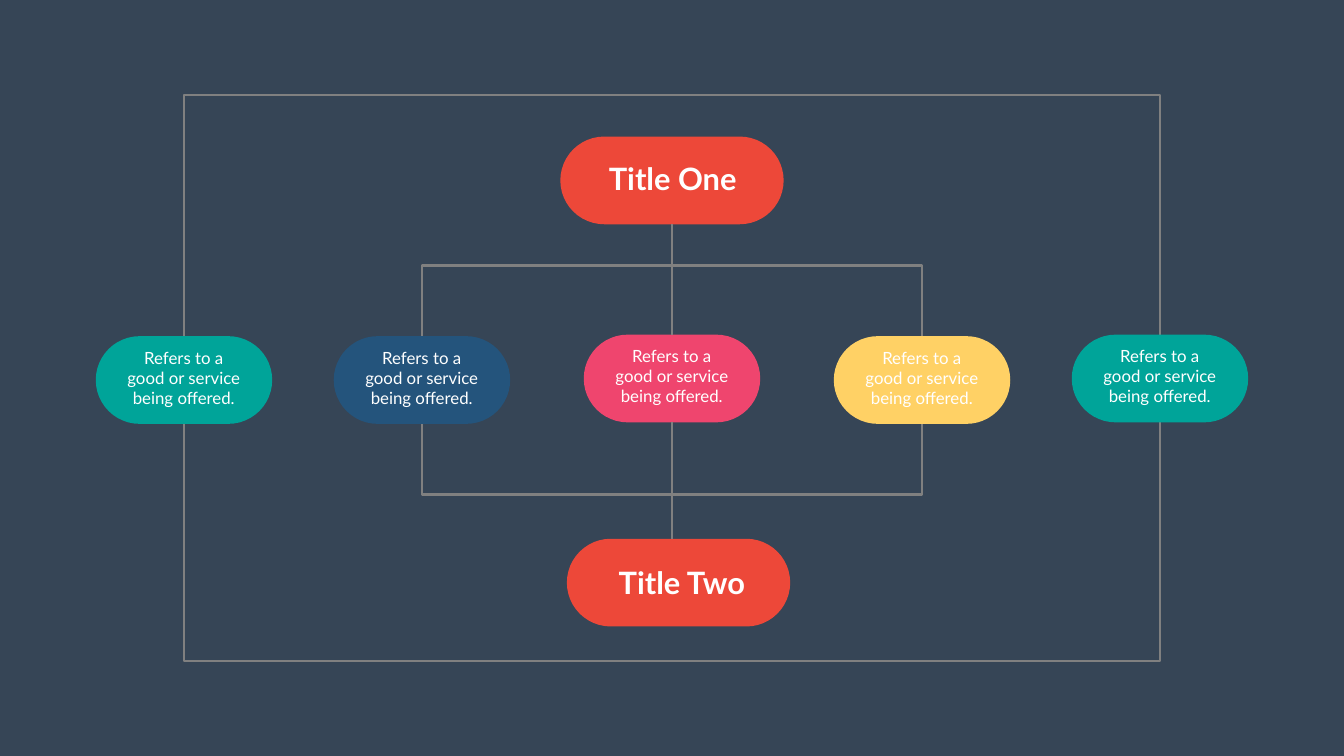
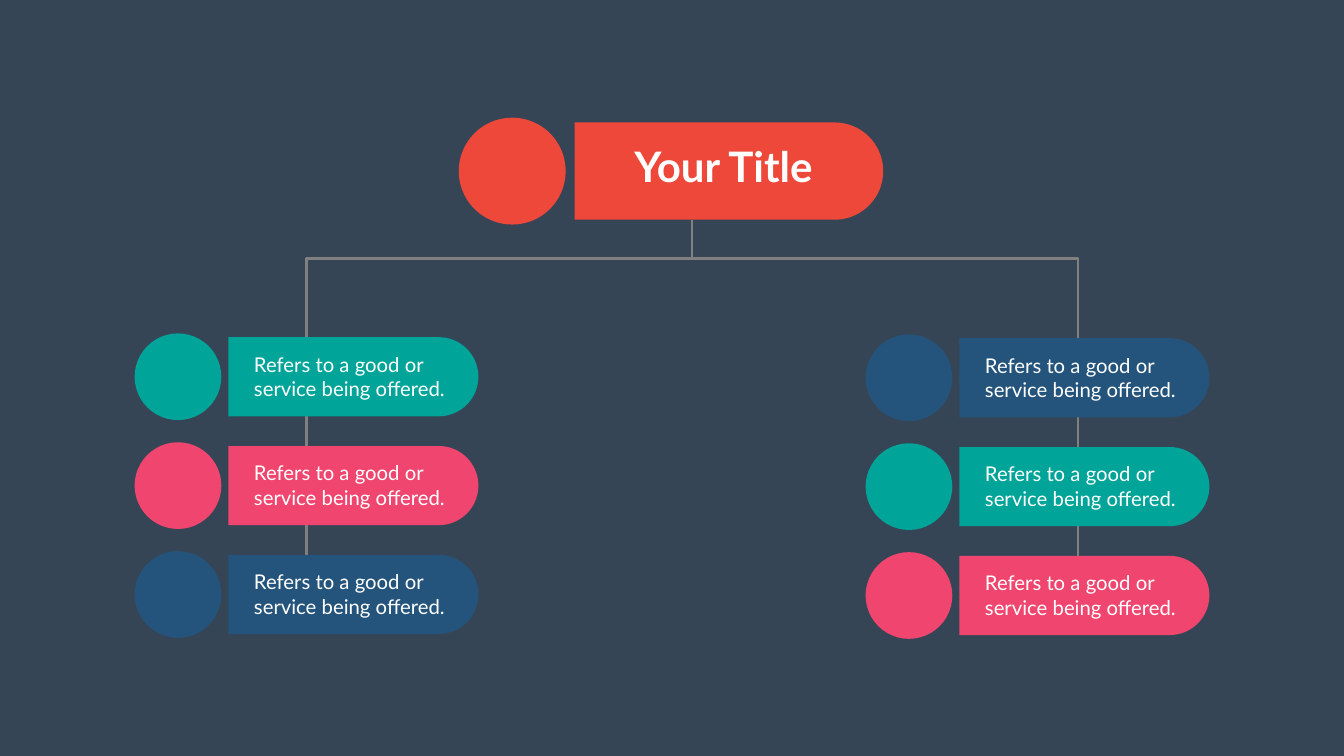
"""Build two organisation charts on a dark ground, with titles linked to rounded labels."""
from math import cos, pi, sin

from pptx import Presentation
from pptx.dml.color import RGBColor
from pptx.enum.shapes import MSO_CONNECTOR as Connector, MSO_SHAPE as Shape
from pptx.enum.text import MSO_ANCHOR as Anchor, MSO_AUTO_SIZE as AutoSize, PP_ALIGN as Align
from pptx.oxml.ns import qn
from pptx.util import Inches, Pt
from lxml.etree import SubElement

COLORS = {"ground": "364556", "line": "808080", "text": "FFFFFF", "red": "ED4839",
          "blue": "24547C", "teal": "00A499", "pink": "EF456E", "yellow": "FFD165"}
WIDTH, HEIGHT = 26.66, 15
MIDDLE = WIDTH / 2
STROKE = Pt(3.46)
OFFER = "Refers to a good or service being offered."


def paint(shape, color=None):
    """Fill a shape plainly, or leave it as a grey outline when no color is given."""
    shape.shadow.inherit = False
    if color:
        shape.fill.solid()
        shape.fill.fore_color.rgb = RGBColor.from_string(COLORS[color])
        shape.line.fill.background()
    else:
        shape.fill.background()
        shape.line.color.rgb = RGBColor.from_string(COLORS["line"])
        shape.line.width = STROKE


def write(box, place, text, size, bold=False, align=Align.CENTER):
    """Place a text box or title and format its one paragraph."""
    for name, value in zip(("left", "top", "width", "height"), place):
        setattr(box, name, Inches(value))
    frame = box.text_frame
    frame.text = text
    settings = {"word_wrap": not bold, "auto_size": AutoSize.SHAPE_TO_FIT_TEXT,
                "vertical_anchor": Anchor.TOP}
    for name, value in settings.items():
        setattr(frame, name, value)
    para = frame.paragraphs[0]
    para.alignment = align
    font = para.runs[0].font
    for name, value in {"name": "Lato", "size": Pt(size), "bold": bold}.items():
        setattr(font, name, value)
    font.color.rgb = RGBColor.from_string(COLORS["text"])


deck = Presentation()
deck.slide_width, deck.slide_height = Inches(WIDTH), Inches(HEIGHT)
ground = deck.slide_master.background.fill
ground.solid()
ground.fore_color.rgb = RGBColor.from_string(COLORS["ground"])
title_only = deck.slide_layouts[5]
network, tree = [deck.slides.add_slide(title_only) for _ in range(2)]

columns = [MIDDLE + offset for offset in (-9.68, -4.96, 0, 4.96, 9.68)]
branches = [(network, columns[1], columns[3], 9.81, 8.37),
            (network, columns[1], columns[3], 5.27, 6.71),
            (network, columns[0], columns[4], 1.89, 6.69),
            (network, columns[0], columns[4], 13.11, 8.31),
            (tree, 6.08, 21.38, 5.13, 12.39)]
for page, left, right, bar, end in branches:
    points = [(Inches(x), Inches(y)) for x, y in
              ((left, end), (left, bar), (right, bar), (right, end))]
    builder = page.shapes.build_freeform(*points[0])
    builder.add_line_segments(points[1:], close=False)
    paint(builder.convert_to_shape())

pill_height = 1.74
pills = []
for center, top, width, color in [(MIDDLE, 2.71, 4.43, "red"), (13.46, 10.69, 4.43, "red"),
                                  (columns[0], 6.67, 3.5, "teal"),
                                  (columns[1], 6.67, 3.5, "blue"),
                                  (columns[2], 6.64, 3.5, "pink"),
                                  (columns[3], 6.67, 3.5, "yellow"),
                                  (columns[4], 6.64, 3.5, "teal")]:
    pill = network.shapes.add_shape(Shape.ROUNDED_RECTANGLE, Inches(center - width / 2),
                                    Inches(top), Inches(width), Inches(pill_height))
    pill.adjustments[0] = 0.5
    paint(pill, color)
    pills.append(pill)
    if color != "red":
        box = network.shapes.add_textbox(0, 0, 0, 0)
        write(box, (center - 1.24, top + 0.17, 2.47, 1.31), OFFER, 24)

title_one, title_two, pink_pill = pills[0], pills[1], pills[4]
heading = network.shapes.title
write(heading, (11.96, 3.11, 2.77, 0.84), "Title One", 44, bold=True)
title_one.element.addnext(heading.element)
box = network.shapes.add_textbox(0, 0, 0, 0)
write(box, (12.12, 11.13, 2.81, 0.84), "Title Two", 44, bold=True)

labels = [(11.4, 2.43, 6.12, 1.93, 2.12, 0.18, "red")]
for left, first_top, order in [(4.53, 6.69, ("teal", "pink", "blue")),
                               (19.03, 6.71, ("blue", "teal", "pink"))]:
    for row, color in enumerate(order):
        labels.append((left, first_top + row * 2.16, 4.96, 1.57, 1.72, 0.14, color))

for left, top, width, height, circle_size, gap, color in labels:
    radius = height / 2
    center_x, center_y = left + width - radius, top + radius
    arc = [(center_x + radius * cos(step * pi / 36), center_y + radius * sin(step * pi / 36))
           for step in range(-18, 19)]
    points = [(Inches(x), Inches(y)) for x, y in [(left, top + height), (left, top), *arc]]
    builder = tree.shapes.build_freeform(*points[0])
    builder.add_line_segments(points[1:])
    label = builder.convert_to_shape()
    paint(label, color)
    circle = tree.shapes.add_shape(Shape.OVAL, Inches(left - gap - circle_size),
                                   Inches(center_y - circle_size / 2),
                                   Inches(circle_size), Inches(circle_size))
    paint(circle, color)
    if color == "red":
        heading = tree.shapes.title
        write(heading, (12.4, 2.74, 3.9, 1.11), "Your Title", 60, bold=True)
        label.element.addnext(heading.element)
    else:
        box = tree.shapes.add_textbox(0, 0, 0, 0)
        write(box, (left + 0.41, top + 0.24, 4.13, 1.08), OFFER, 29, align=Align.LEFT)

stems = []
for page, x, start, end in [(network, MIDDLE, 4.45, 6.64), (network, MIDDLE, 10.69, 8.38),
                            (tree, 13.73, 4.36, 5.13)]:
    stem = page.shapes.add_connector(Connector.STRAIGHT, Inches(x), Inches(start),
                                     Inches(x), Inches(end))
    stem.line.color.rgb = RGBColor.from_string(COLORS["line"])
    stem.line.width = STROKE
    SubElement(stem.element.spPr, qn("a:effectLst"))
    stems.append(stem)
stems[0].begin_connect(title_one, 2)
stems[0].end_connect(pink_pill, 0)
stems[1].end_connect(pink_pill, 2)

deck.save("out.pptx")
